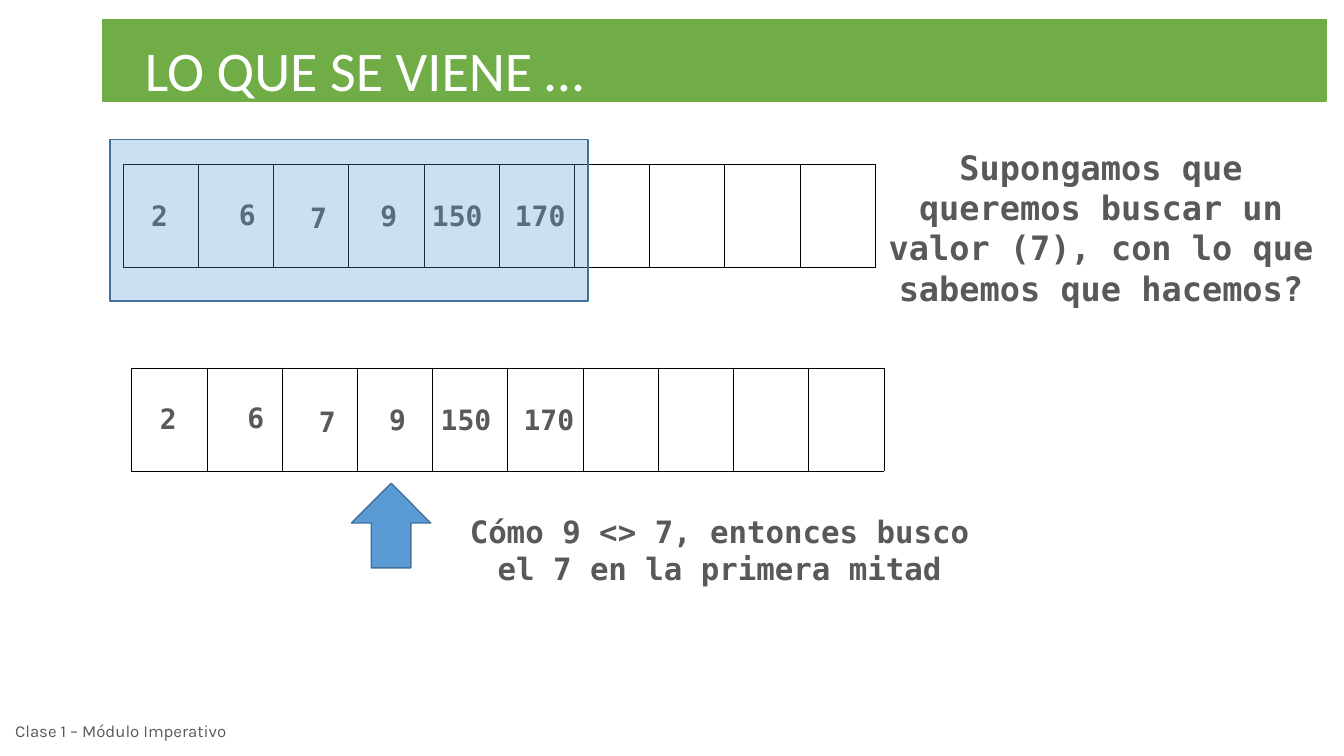
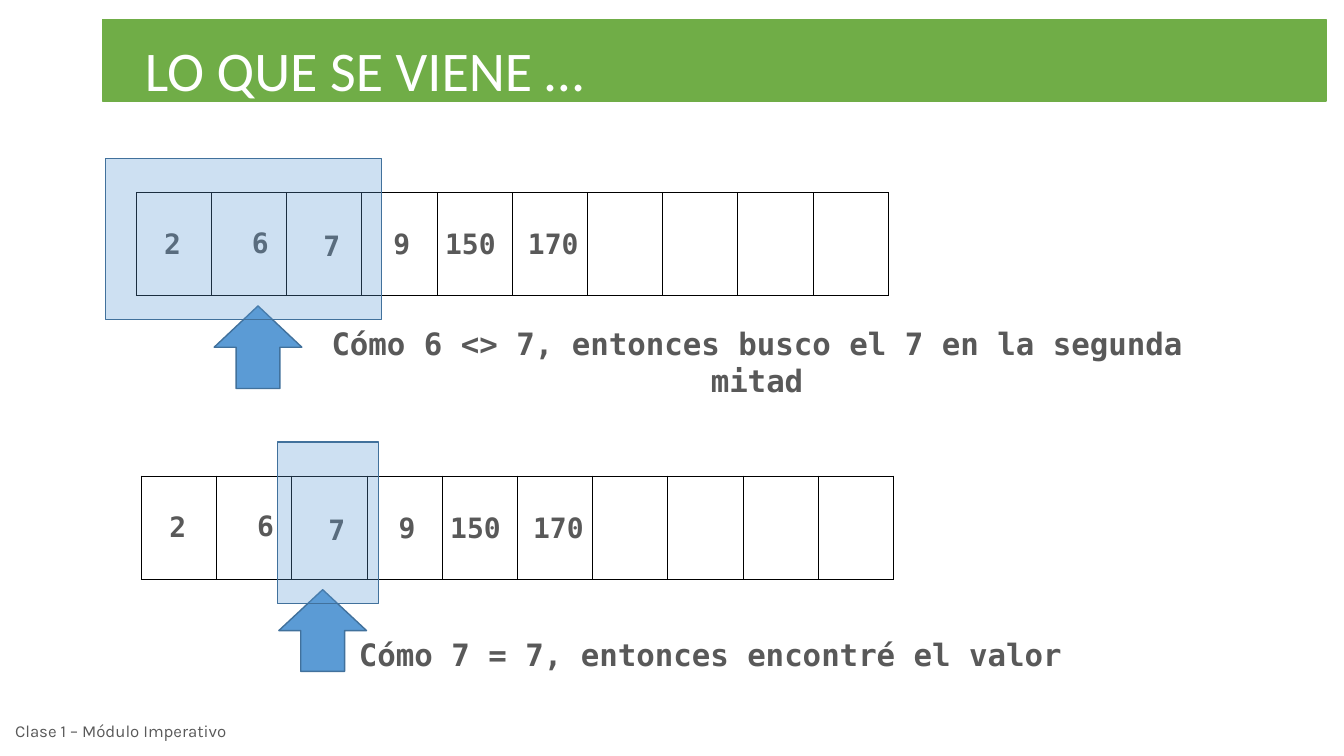
"""Builds two slides that follow a binary search through a sorted array."""
from dataclasses import dataclass

from lxml.etree import SubElement
from pptx import Presentation
from pptx.dml.color import RGBColor
from pptx.enum.shapes import MSO_SHAPE
from pptx.enum.text import MSO_ANCHOR, PP_ALIGN
from pptx.oxml import parse_xml
from pptx.oxml.ns import nsdecls, qn
from pptx.util import Cm, Pt

TITLE = "LO QUE SE VIENE …"
FOOTER = "Clase 1 – Módulo Imperativo"
CELLS = 10
VALUES = [
    ("9", 6.24, 0.74, 2.03),
    ("2", 0.46, 0.73, 2.59),
    ("6", 2.67, 0.7, 2.44),
    ("7", 4.47, 0.79, 1.5),
    ("150", 7.54, 0.74, 2.03),
    ("170", 9.63, 0.74, 2.21),
]
SLIDES = [
    [
        dict(
            array=(3.1, 4.14),
            note=("Supongamos que queremos buscar un valor (7), con lo que sabemos que hacemos?",
                  (22.13, 3.57, 11.25, 4.32), "question"),
            highlight=(2.77, 3.52, 12.05, 4.07),
        ),
        dict(
            array=(3.32, 9.27),
            arrow=(8.86, 12.18, 2, 2.13),
            note=("Cómo 9 <> 7, entonces busco el 7 en la primera mitad",
                  (10.95, 12.79, 14.38, 2.13), "step"),
        ),
    ],
    [
        dict(
            array=(3.43, 4.85),
            arrow=(5.4, 7.71, 2.21, 2.08),
            note=("Cómo 6 <> 7, entonces busco el 7 en la segunda mitad",
                  (7.06, 8.05, 24.05, 2.13), "step"),
            highlight=(2.66, 3.99, 6.96, 4.07),
        ),
        dict(
            array=(3.56, 11.99),
            arrow=(7.03, 14.86, 2.21, 2.06),
            note=("Cómo 7 = 7, entonces encontré el valor",
                  (6.99, 15.9, 21.84, 1.19), "step"),
            highlight=(6.99, 11.14, 2.56, 4.07),
        ),
    ],
]


@dataclass(frozen=True)
class Theme:
    green: str = "70AD47"
    blue: str = "5B9BD5"
    edge: str = "41719C"
    grey: str = "595959"
    white: str = "FFFFFF"
    black: str = "000000"
    title_font: str = "Calibri"
    mono: str = "DejaVu Sans Mono"
    footer_font: str = "Karla"
    title: int = 40
    question: int = 24
    step: int = 22
    value: int = 20
    footer: int = 12


T = Theme()


def rgb(color):
    return RGBColor.from_string(color)


def add_text(s, text, box, size, font=T.mono, color=T.grey, bold=True,
             align=PP_ALIGN.LEFT, anchor=MSO_ANCHOR.TOP, wrap=True):
    tf = s.shapes.add_textbox(*map(Cm, box)).text_frame
    tf.word_wrap = wrap
    tf.vertical_anchor = anchor
    p = tf.paragraphs[0]
    p.alignment = align
    r = p.add_run()
    r.text = text
    r.font.size = Pt(size)
    r.font.name = font
    r.font.bold = bold
    r.font.color.rgb = rgb(color)


def add_box(s, kind, box, fill, line, alpha=None):
    sp = s.shapes.add_shape(kind, *map(Cm, box))
    sp.shadow.inherit = False
    sp.fill.solid()
    sp.fill.fore_color.rgb = rgb(fill)
    sp.line.color.rgb = rgb(line)
    sp.line.width = Pt(1)
    if alpha:
        color = sp.fill._xPr.find(qn("a:solidFill"))[0]
        SubElement(color, qn("a:alpha"), val=str(alpha * 1000))


def add_borders(cell):
    tc_pr = cell._tc.get_or_add_tcPr()
    for side in ("lnL", "lnR", "lnT", "lnB"):
        tc_pr.append(parse_xml(
            f'<a:{side} {nsdecls("a")} w="{Pt(0.45)}"><a:solidFill>'
            f'<a:srgbClr val="{T.black}"/></a:solidFill></a:{side}>'))


def add_array(s, left, top, width=18.96, height=2.6):
    table = s.shapes.add_table(1, CELLS, *map(Cm, (left, top, width, height))).table
    table.first_row = table.horz_banding = False
    for cell in table.iter_cells():
        add_borders(cell)
        cell.fill.background()
    for text, dx, dy, w in VALUES:
        add_text(s, text, (left + dx, top + dy, w, 1.12), T.value, align=PP_ALIGN.JUSTIFY)


def add_frame(s):
    add_text(s, FOOTER, (0.13, 17.91, 5.92, 1.02), T.footer, font=T.footer_font,
             bold=False, anchor=MSO_ANCHOR.MIDDLE)
    add_box(s, MSO_SHAPE.RECTANGLE, (2.59, 0.49, 30.84, 2.06), T.green, T.green)
    add_text(s, TITLE, (3.4, 0.76, 11.58, 1.96), T.title, font=T.title_font,
             color=T.white, bold=False, wrap=False)


def add_step(s, array, note, arrow=None, highlight=None):
    add_array(s, *array)
    if arrow:
        add_box(s, MSO_SHAPE.UP_ARROW, arrow, T.blue, T.edge)
    text, box, role = note
    add_text(s, text, box, getattr(T, role), align=PP_ALIGN.CENTER)
    if highlight:
        add_box(s, MSO_SHAPE.RECTANGLE, highlight, T.blue, T.edge, alpha=30)


def main():
    prs = Presentation()
    prs.slide_width, prs.slide_height = Cm(33.88), Cm(19.05)
    for steps in SLIDES:
        s = prs.slides.add_slide(prs.slide_layouts[6])
        add_frame(s)
        for step in steps:
            add_step(s, **step)
    prs.save("out.pptx")


if __name__ == "__main__":
    main()
